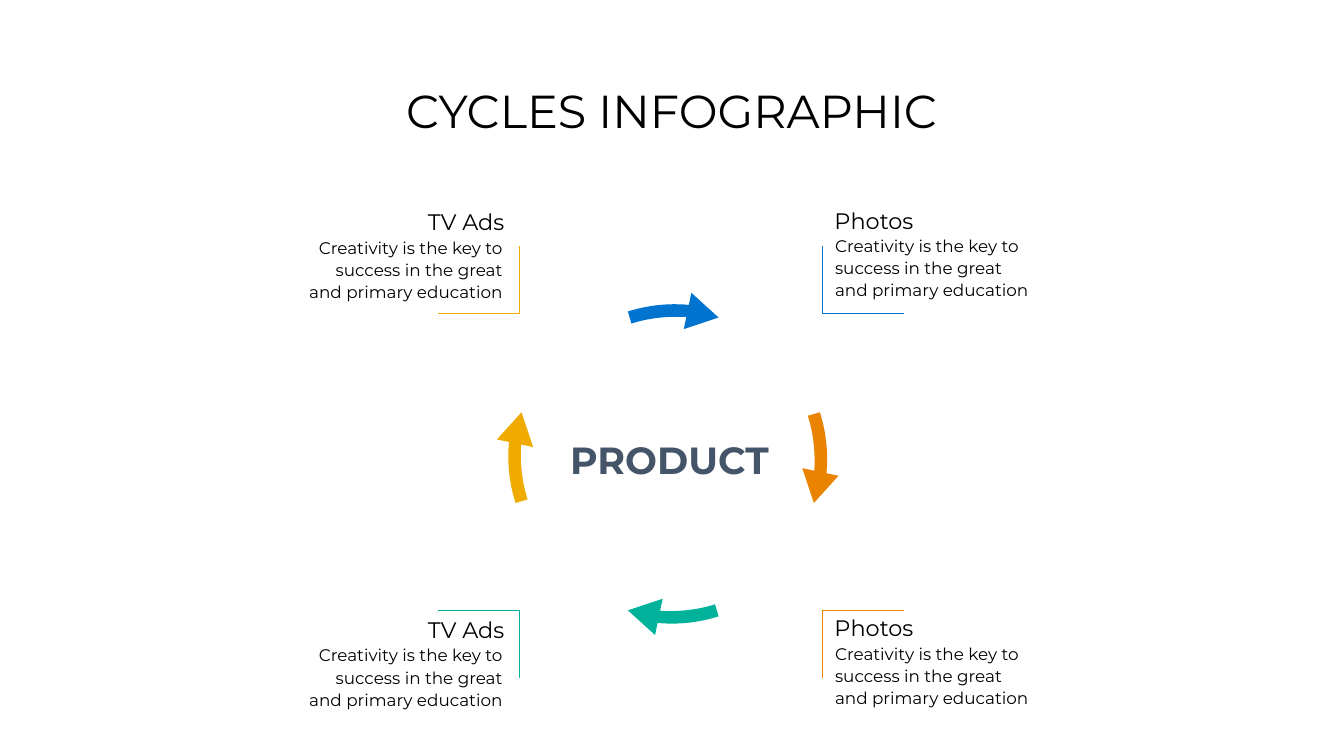
from pptx import Presentation
from pptx.dml.color import RGBColor
from pptx.enum.text import MSO_ANCHOR, MSO_AUTO_SIZE, PP_ALIGN
from pptx.util import Inches, Pt

LEFT, CENTER, RIGHT = PP_ALIGN.LEFT, PP_ALIGN.CENTER, PP_ALIGN.RIGHT
TOP, MIDDLE = MSO_ANCHOR.TOP, MSO_ANCHOR.MIDDLE
GROW = MSO_AUTO_SIZE.SHAPE_TO_FIT_TEXT
FIXED = MSO_AUTO_SIZE.NONE

BLACK = RGBColor(0x00, 0x00, 0x00)
SLATE = RGBColor(0x44, 0x54, 0x69)
BLUE = RGBColor(0x00, 0x74, 0xCF)
ORANGE = RGBColor(0xE9, 0x83, 0x00)
TEAL = RGBColor(0x00, 0xB2, 0x99)
YELLOW = RGBColor(0xF0, 0xAB, 0x00)

FONT = "Montserrat"
CAPTION = "Creativity is the key to success in the great and primary education"

# Edges of the arrow that points right, measured from its centre
OUTER_EDGE = [(0.31, -0.12), (-0.11, -0.16), (-0.52, -0.11), (-0.9, 0.01)]
INNER_EDGE = [(-0.83, 0.25), (-0.49, 0.14), (-0.12, 0.1), (0.26, 0.12)]
ARROW_HEAD = [(0.21, 0.36), (0.9, 0.13), (0.36, -0.36)]

# Centre of each arrow and its colour, each a quarter turn on from the last
ARROWS = [
    (13.36, 6.17, BLUE),
    (16.28, 9.08, ORANGE),
    (13.36, 12.24, TEAL),
    (10.22, 9.08, YELLOW),
]

# Corner of each bracket, directions of its arms, line colour and width
BRACKETS = [
    (10.31, 6.22, -1, -1, YELLOW, 0.82),
    (16.33, 6.22, 1, -1, BLUE, 1.5),
    (10.31, 12.11, -1, 1, TEAL, 1.5),
    (16.33, 12.11, 1, 1, ORANGE, 1.5),
]
ARM_WIDTH, ARM_HEIGHT = 1.61, 1.34

ROW_TOPS = [4.0, 12.09]


def add_text(slide, text, left, top, width, height, *, size, color=BLACK,
             bold=False, align=LEFT, anchor=TOP, spacing=1.0, wrap=True,
             auto_size=GROW, inset=0.2):
    box = slide.shapes.add_textbox(Inches(left), Inches(top),
                                   Inches(width), Inches(height))
    frame = box.text_frame
    frame.word_wrap = wrap
    frame.auto_size = auto_size
    frame.vertical_anchor = anchor
    frame.margin_left = frame.margin_right = Inches(inset)
    frame.margin_top = frame.margin_bottom = Inches(inset / 2)
    para = frame.paragraphs[0]
    para.alignment = align
    para.line_spacing = spacing
    span = para.add_run()
    span.text = text
    span.font.name = FONT
    span.font.size = Pt(size)
    span.font.bold = bold
    span.font.color.rgb = color


def add_outline(slide, points, closed):
    corners = [(Inches(x), Inches(y)) for x, y in points]
    builder = slide.shapes.build_freeform(*corners[0])
    builder.add_line_segments(corners[1:], close=closed)
    shape = builder.convert_to_shape()
    shape.shadow.inherit = False
    return shape


def curve_points(start, first, second, end, steps=12):
    """Return points along a cubic Bezier curve."""
    points = []
    for step in range(steps + 1):
        t = step / steps
        weights = ((1 - t) ** 3, 3 * t * (1 - t) ** 2, 3 * t * t * (1 - t), t ** 3)
        controls = zip(start, first, second, end)
        points.append(tuple(sum(w * value for w, value in zip(weights, axis))
                            for axis in controls))
    return points


def add_curved_arrow(slide, center_x, center_y, color, quarter_turns):
    points = curve_points(*OUTER_EDGE) + curve_points(*INNER_EDGE) + ARROW_HEAD
    for _ in range(quarter_turns):
        points = [(-y, x) for x, y in points]
    points = [(center_x + x, center_y + y) for x, y in points]
    arrow = add_outline(slide, points, closed=True)
    arrow.fill.solid()
    arrow.fill.fore_color.rgb = color
    arrow.line.fill.background()


def add_bracket(slide, x, y, x_direction, y_direction, color, width):
    points = [(x, y + y_direction * ARM_HEIGHT), (x, y),
              (x + x_direction * ARM_WIDTH, y)]
    bracket = add_outline(slide, points, closed=False)
    bracket.fill.background()
    bracket.line.color.rgb = color
    bracket.line.width = Pt(width)


def add_label(slide, heading, top, heading_left, caption_left, align):
    add_text(slide, heading, heading_left, top, 2, 0.74, size=32,
             align=align, wrap=False)
    add_text(slide, CAPTION, caption_left, top + 0.52, 4.52, 1.57, size=24,
             align=align, spacing=1.1, inset=0.24)


def main():
    deck = Presentation()
    deck.slide_width, deck.slide_height = Inches(26.67), Inches(15)
    page = deck.slides.add_slide(deck.slide_layouts[6])

    add_text(page, "CYCLES INFOGRAPHIC", 1.83, 0.8, 23, 2.9, size=66,
             align=CENTER, anchor=MIDDLE, spacing=0.9, auto_size=FIXED)
    for turns, (x, y, color) in enumerate(ARROWS):
        add_curved_arrow(page, x, y, color, turns)
    for bracket in BRACKETS:
        add_bracket(page, *bracket)
    for top in ROW_TOPS:
        add_label(page, "TV Ads", top + 0.03, 8.21, 5.69, RIGHT)
        add_label(page, "Photos", top, 16.36, 16.33, LEFT)
    add_text(page, "PRODUCT", 11.05, 8.57, 4.47, 1.11, size=54, color=SLATE,
             bold=True, align=CENTER, wrap=False)

    deck.save("out.pptx")


if __name__ == "__main__":
    main()
